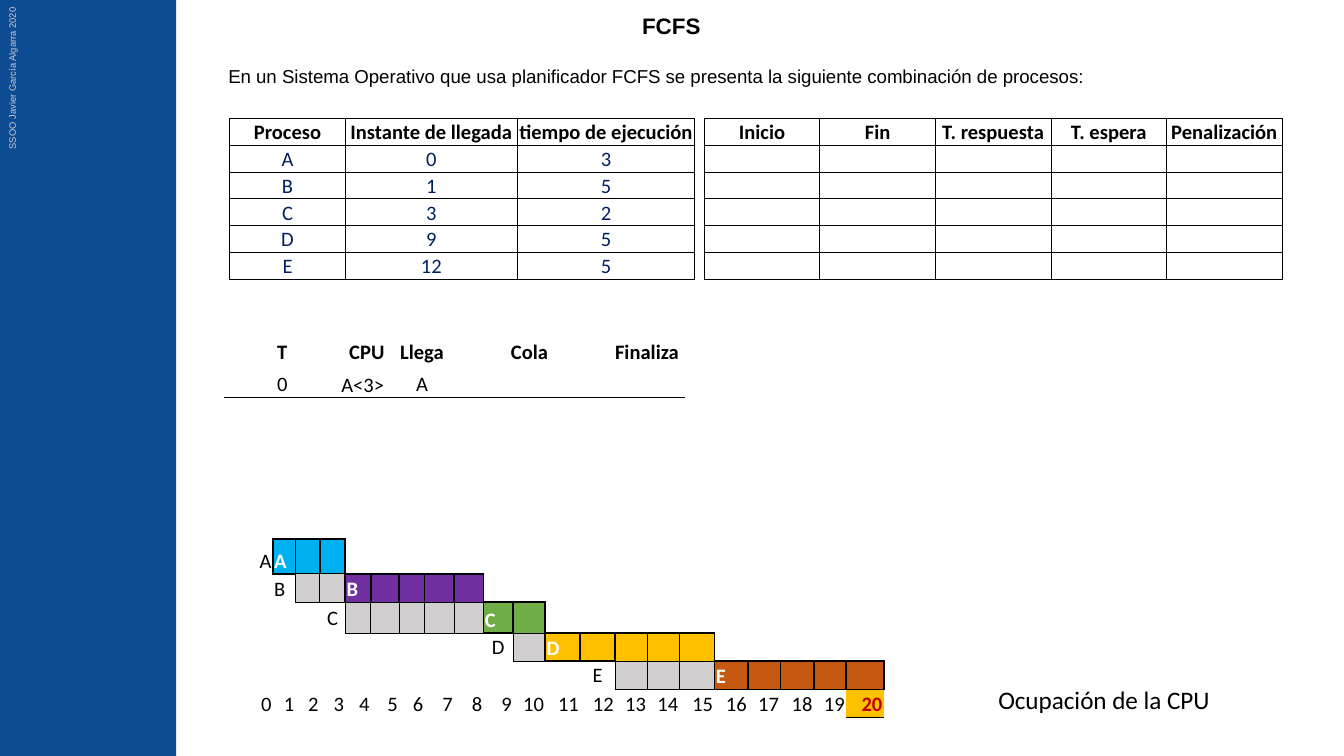
from pptx import Presentation
from pptx import util as u
from pptx.dml.color import RGBColor
from pptx.enum import shapes, text
from lxml import etree

BLACK = RGBColor(0x00, 0x00, 0x00)
WHITE = RGBColor(0xFF, 0xFF, 0xFF)
BLUE = RGBColor(0x0D, 0x4B, 0x92)
NAVY = RGBColor(0x00, 0x20, 0x60)
GREY = RGBColor(0xD0, 0xCE, 0xCE)
CYAN = RGBColor(0x00, 0xB0, 0xF0)
PURPLE = RGBColor(0x70, 0x30, 0xA0)
GREEN = RGBColor(0x70, 0xAD, 0x47)
GOLD = RGBColor(0xFF, 0xC0, 0x00)
RUST = RGBColor(0xC6, 0x59, 0x11)
RED = RGBColor(0xC0, 0x00, 0x00)

A = "http://schemas.openxmlformats.org/drawingml/2006/main"
NO_STYLE = "{2D5ABB26-0587-4C30-8999-92F81FD0307C}"
LEFT, CENTER, RIGHT = text.PP_ALIGN.LEFT, text.PP_ALIGN.CENTER, text.PP_ALIGN.RIGHT
MIDDLE, BOTTOM = text.MSO_ANCHOR.MIDDLE, text.MSO_ANCHOR.BOTTOM

# 16:9 slide
prs = Presentation()
prs.slide_width = u.Inches(10)
prs.slide_height = u.Inches(10 * 9 / 16)
s = prs.slides.add_slide(prs.slide_layouts[6])


def add_grid(x, y, cols, rows):
    gf = s.shapes.add_table(len(rows), len(cols), u.Inches(x), u.Inches(y),
                            u.Inches(sum(cols)), u.Inches(sum(rows)))
    tbl = gf.table
    tbl.first_row = tbl.horz_banding = False
    gf._element.find(f".//{{{A}}}tableStyleId").text = NO_STYLE
    for col, w in zip(tbl.columns, cols):
        col.width = u.Inches(w)
    for row, h in zip(tbl.rows, rows):
        row.height = u.Inches(h)
    return tbl


def set_cell(cell, label="", color=BLACK, bold=False, align=CENTER,
             anchor=MIDDLE, fill=None, borders=None):
    cell.margin_left = cell.margin_right = cell.margin_top = u.Inches(0.01)
    cell.margin_bottom = 0
    cell.vertical_anchor = anchor
    p = cell.text_frame.paragraphs[0]
    p.alignment = align
    if label:
        p.text = label
        f = p.runs[0].font
        f.name, f.size, f.bold, f.color.rgb = "Calibri", u.Pt(11), bold, color
    else:
        p._p.get_or_add_endParaRPr().set("sz", "1100")
    if fill is None:
        cell.fill.background()
    else:
        cell.fill.solid()
        cell.fill.fore_color.rgb = fill
    # Border lines come before the fill; sides without a line are cleared
    tc_pr = cell._tc.get_or_add_tcPr()
    for i, side in enumerate("LRTB"):
        ln = etree.Element(f"{{{A}}}ln{side}")
        if borders and side in borders:
            ln.set("w", str(u.Pt(borders[side])))
            solid = etree.SubElement(ln, f"{{{A}}}solidFill")
            etree.SubElement(solid, f"{{{A}}}srgbClr", val=str(BLACK))
        else:
            etree.SubElement(ln, f"{{{A}}}noFill")
        tc_pr.insert(i, ln)


# Side band
sp = s.shapes.add_shape(shapes.MSO_SHAPE.RECTANGLE, u.Inches(-0.01), 0,
                        u.Inches(1.32), prs.slide_height)
sp.shadow.inherit = False
sp.fill.solid()
sp.fill.fore_color.rgb = BLUE
sp.line.fill.background()

# Credit, title with statement, chart caption
texts = [
    (-0.66, 0.36, 1.51, 0.19, 270, True,
     [("SSOO Javier García Algarra 2020", "Arial", 5, False, GREY, LEFT, 0)]),
    (1.6, 0.04, 6.79, 0.67, 0, True,
     [("FCFS", "Arial", 12, True, BLACK, CENTER, 0),
      ("En un Sistema Operativo que usa planificador FCFS se presenta "
       "la siguiente combinación de procesos:",
       "Arial", 10, False, BLACK, LEFT, 13.8)]),
    (7.33, 5.04, 1.77, 0.32, 0, False,
     [("Ocupación de la CPU", "Calibri", 13.5, False, BLACK, LEFT, 0)]),
]
for x, y, w, h, rotation, wrap, paragraphs in texts:
    sp = s.shapes.add_textbox(u.Inches(x), u.Inches(y), u.Inches(w), u.Inches(h))
    sp.rotation = rotation
    tf = sp.text_frame
    tf.word_wrap = wrap
    for i, (label, font, size, bold, color, align, before) in enumerate(paragraphs):
        p = tf.add_paragraph() if i else tf.paragraphs[0]
        p.text = label
        p.alignment = align
        if before:
            p.space_before = u.Pt(before)
        f = p.runs[0].font
        f.name, f.size, f.bold, f.color.rgb = font, u.Pt(size), bold, color

# Processes: name, arrival, start, end, colour
processes = [("A", 0, 0, 3, CYAN), ("B", 1, 3, 8, PURPLE), ("C", 3, 8, 10, GREEN),
             ("D", 9, 10, 15, GOLD), ("E", 12, 15, 20, RUST)]

# Process table and empty results table
process_rows = [["Proceso", "Instante de llegada", "tiempo de ejecución"]]
process_rows += [[n, str(arrival), str(end - start)]
                 for n, arrival, start, end, _ in processes]
result_rows = [["Inicio", "Fin", "T. respuesta", "T. espera", "Penalización"]]
result_rows += [[""] * 5 for _ in processes]
for x, cols, rows, head_anchor in [(1.71, [0.86, 1.28, 1.32], process_rows, BOTTOM),
                                   (5.24, [0.86] * 5, result_rows, MIDDLE)]:
    tbl = add_grid(x, 0.88, cols, [0.2] * 6)
    for r, row in enumerate(rows):
        for c, label in enumerate(row):
            set_cell(tbl.cell(r, c), label, NAVY if r else BLACK, r == 0,
                     anchor=MIDDLE if r else head_anchor,
                     borders=dict.fromkeys("LRTB", 0.5))

# Event table
tbl = add_grid(1.67, 2.49, [0.86, 0.4, 0.42, 1.18, 0.57], [0.26, 0.21])
for c, label in enumerate(["T", "CPU", "Llega", "Cola", "Finaliza"]):
    set_cell(tbl.cell(0, c), label, bold=True)
for c, label in enumerate(["0", "A<3>", "A", "", ""]):
    set_cell(tbl.cell(1, c), label, align=LEFT if c == 1 else CENTER,
             anchor=BOTTOM if c == 1 else MIDDLE, borders={"B": 0.5})

# Gantt grid: column t ends at instant t
tbl = add_grid(1.71, 4.01,
               [0.32, 0.17, 0.18, 0.19, 0.19, 0.21, 0.19, 0.22, 0.22, 0.22, 0.24,
                0.26, 0.26, 0.24, 0.24, 0.26, 0.25, 0.24, 0.25, 0.24, 0.28],
               [0.26, 0.21, 0.23, 0.21, 0.21, 0.21])
cells = {(r, c): {"borders": {}} for r in range(6) for c in range(21)}
neighbours = {"L": (0, -1, "R"), "R": (0, 1, "L"), "T": (-1, 0, "B"), "B": (1, 0, "T")}
label_styles = {"A": (RIGHT, BOTTOM), "B": (LEFT, BOTTOM)}
for r, (name, arrival, start, end, color) in enumerate(processes):
    align, anchor = label_styles.get(name, (CENTER, MIDDLE))
    cells[r, arrival].update(label=name, align=align, anchor=anchor)
    for c in range(arrival + 1, end + 1):
        running = c > start
        width = 1 if running else 0.5
        cells[r, c]["fill"] = color if running else GREY
        # Shared edges are set on both cells
        for side, (dr, dc, opposite) in neighbours.items():
            cells[r, c]["borders"][side] = width
            if (r + dr, c + dc) in cells:
                cells[r + dr, c + dc]["borders"][opposite] = width
    cells[r, start + 1].update(label=name, color=WHITE, bold=True,
                               align=LEFT, anchor=BOTTOM)

# Time axis, with the last instant highlighted
for t in range(21):
    cells[5, t].update(label=str(t), align=RIGHT, anchor=BOTTOM)
cells[5, 20].update(color=RED, bold=True, fill=GOLD)
cells[5, 20]["borders"]["B"] = 1
for (r, c), style in cells.items():
    set_cell(tbl.cell(r, c), **style)

prs.save("out.pptx")
